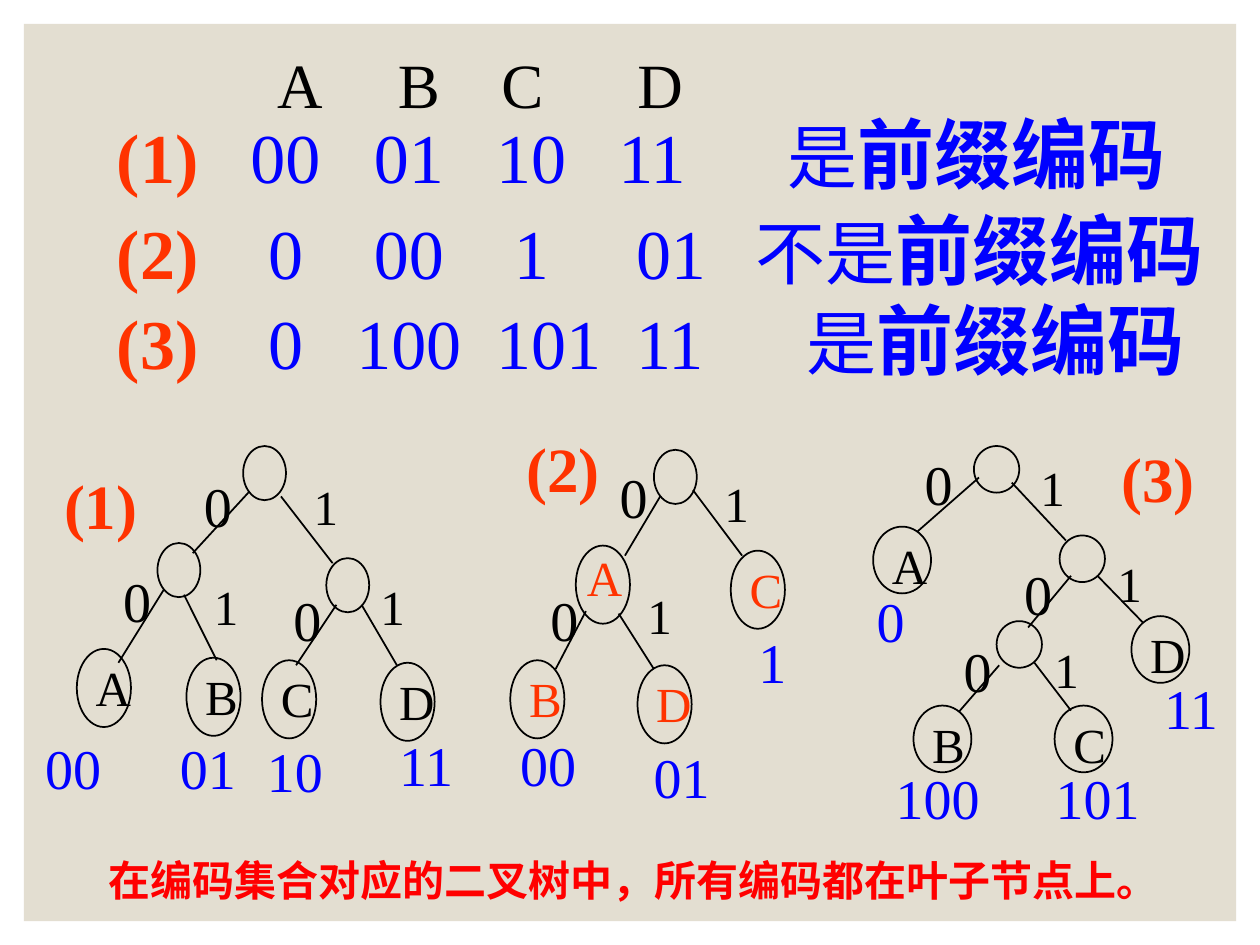
import pptx
import pptx.util
import pptx.dml.color
import pptx.enum.shapes
import pptx.enum.text
import pptx.oxml.ns
import lxml.etree

RGB = pptx.dml.color.RGBColor
BLACK = RGB(0, 0, 0)
BLUE = RGB(0, 0, 255)
ORANGE = RGB(0xFF, 0x33, 0)
RED = RGB(255, 0, 0)
SAND = RGB(0xE3, 0xDE, 0xD1)
SERIF, HAN = "Times New Roman", "Noto Sans CJK SC"
INCH = 2.54


def cm(value):
    """Turn a layout unit of 2.54 cm into a length."""
    return pptx.util.Cm(value * INCH)


def style(size, color, bold=False, name=SERIF):
    """Return font values and colour."""
    return {"size": pptx.util.Pt(size), "bold": bold, "name": name}, color


ZERO, ONE = style(32, BLACK), style(28, BLACK)
CODE, TAG = style(32, BLUE), style(36, ORANGE, True)
KEY, CELL, WORD = style(40, ORANGE, True), style(40, BLUE), style(44, BLUE, True)
HEAD, NOTE = style(36, BLACK), style(24, RED, True, HAN)
LEAF = {BLACK: style(28, BLACK), ORANGE: style(28, ORANGE)}


def child(node, tag, **attrs):
    """Append an XML child."""
    return lxml.etree.SubElement(node, pptx.oxml.ns.qn(tag), attrs)


def write(slide, box, runs, tabs=(), gap=50, wrap=True):
    """Add a text box of styled runs with tab stops."""
    frame = slide.shapes.add_textbox(*map(cm, box)).text_frame
    frame.word_wrap = wrap
    frame.auto_size = pptx.enum.text.MSO_AUTO_SIZE.SHAPE_TO_FIT_TEXT
    para = frame.paragraphs[0]
    props = para._p.get_or_add_pPr()
    child(child(props, "a:spcBef"), "a:spcPct", val=str(gap * 1000))
    if tabs:
        stops = child(props, "a:tabLst")
        for stop in tabs:
            child(stops, "a:tab", pos=str(int(cm(stop - box[0] - 0.1))), algn="l")
    for text, (values, color) in runs:
        run = para.add_run()
        run.text = text
        for key, value in values.items():
            setattr(run.font, key, value)
        run.font.color.rgb = color
        child(run._r.get_or_add_rPr(), "a:ea", typeface=HAN)


def shape(slide, kind, box, fill=None, line=None):
    """Add a flat preset shape."""
    item = slide.shapes.add_shape(kind, *map(cm, box))
    item.shadow.inherit = False
    if fill is None:
        item.fill.background()
    else:
        item.fill.solid()
        item.fill.fore_color.rgb = fill
    if line is None:
        item.line.fill.background()
    else:
        item.line.color.rgb = line
        item.line.width = pptx.util.Pt(1)


def edge(slide, ends):
    """Add one branch line."""
    line = slide.shapes.add_connector(
        pptx.enum.shapes.MSO_CONNECTOR.STRAIGHT, *map(cm, ends))
    line.line.color.rgb = BLACK
    line.line.width = pptx.util.Pt(1)
    child(line._element.spPr, "a:effectLst")


def tree(slide, x, y, data):
    """Draw a code tree from its corner."""
    oval = pptx.enum.shapes.MSO_SHAPE.OVAL
    for dx, dy in data["inner"]:
        shape(slide, oval, (x + dx, y + dy, *data["small"]), line=BLACK)
    for dx, dy, name in data["leaves"]:
        if name:
            write(slide, (x + dx + 0.05, y + dy + 0.02, 0.62, 0.57),
                  [(name, LEAF[data["ink"]])])
        shape(slide, oval, (x + dx, y + dy, *data["big"]), line=BLACK)
    for x1, y1, x2, y2 in data["edges"]:
        edge(slide, (x + x1, y + y1, x + x2, y + y2))
    for key, look, high in (("0", ZERO, 0.63), ("1", ONE, 0.57)):
        for dx, dy in data[key]:
            write(slide, (x + dx, y + dy, 0.53, high), [(key, look)])
    for dx, dy, text in data["codes"]:
        write(slide, (x + dx, y + dy, 0.3 + 0.23 * len(text), 0.63), [(text, CODE)])
    dx, dy, text = data["tag"]
    write(slide, (x + dx, y + dy, 1.02, 0.7), [(text, TAG)])


def codes(slide, x, y):
    """Write the table of codes from its corner."""
    write(slide, (x + 1.27, y, 4.05, 0.7), [("A\tB\tC\tD", HEAD)],
          (x + 2.33, x + 3.15, x + 4.23))
    for dy, key, cells, verdict, tabs in ROWS:
        text = "".join("\t" + cell for cell in cells.split()) + "\t" + verdict
        write(slide, (x, y + dy, 9.17, 0.83),
              [(key, KEY), (text, CELL), ("前缀编码", WORD)],
              [x + tab for tab in tabs])


ROWS = [
    (0.49, "(1)", "00 01 10 11", "是", (1.16, 2.14, 3.11, 4.08, 5.42)),
    (1.25, "(2)", "0 00 1 01", "不是", (1.3, 2.14, 3.25, 4.22, 5.17)),
    (1.96, "(3)", "0 100 101 11", "是", (1.3, 2, 3.11, 4.22, 5.57)),
]

TREES = [
    (0, 3.5, {
        "ink": BLACK, "small": (0.34, 0.43), "big": (0.43, 0.62),
        "inner": [(1.93, 0.04), (2.59, 0.93), (1.25, 0.81)],
        "leaves": [(0.61, 1.65, "A"), (1.48, 1.72, "B"),
                   (2.08, 1.74, "C"), (3.02, 1.76, "D")],
        "edges": [(1.98, 0.4, 1.53, 0.89), (2.23, 0.44, 2.64, 0.97),
                  (1.3, 1.18, 0.94, 1.76), (1.46, 1.22, 1.72, 1.74),
                  (2.67, 1.3, 2.35, 1.78), (2.87, 1.3, 3.15, 1.78)],
        "0": [(1.52, 0.19), (0.88, 0.95), (2.23, 1.1)],
        "1": [(2.39, 0.23), (2.92, 1.03), (1.6, 1.03)],
        "codes": [(0.26, 2.27, "00"), (1.33, 2.27, "01"),
                  (2.02, 2.3, "10"), (3.07, 2.25, "11")],
        "tag": (0.41, 0.15, "(1)")}),
    (4, 3.5, {
        "ink": ORANGE, "small": (0.34, 0.43), "big": (0.43, 0.62),
        "inner": [(1.19, 0.07)],
        "leaves": [(0.57, 0.83, ""), (0.05, 1.74, "B"),
                   (1.8, 0.87, "C"), (1.06, 1.78, "D")],
        "edges": [(1.24, 0.44, 0.96, 0.91), (0.65, 1.35, 0.41, 1.81),
                  (1.5, 0.39, 1.89, 0.91), (0.91, 1.37, 1.19, 1.81)],
        "0": [(0.82, 0.12), (0.27, 1.1)],
        "1": [(1.65, 0.21), (1.04, 1.1)],
        "codes": [(0.03, 2.25, "00"), (1.09, 2.34, "01"), (1.92, 1.43, "1")],
        "tag": (0.08, -0.14, "(2)")}),
    (7, 3.5, {
        "ink": BLACK, "small": (0.36, 0.37), "big": (0.46, 0.53),
        "inner": [(0.73, 0.04), (1.41, 0.75), (0.91, 1.43)],
        "leaves": [(-0.07, 0.68, "A"), (0.25, 2.1, "B"),
                   (1.37, 2.1, "C"), (1.98, 1.39, "D")],
        "edges": [(0.77, 0.29, 0.28, 0.72), (1.03, 0.33, 1.46, 0.79),
                  (1.5, 1.07, 1.16, 1.48), (1.71, 1.07, 2.07, 1.44),
                  (0.93, 1.78, 0.61, 2.15), (1.21, 1.76, 1.5, 2.14)],
        "0": [(0.24, 0.02), (1.03, 0.89), (0.55, 1.5)],
        "1": [(1.16, 0.08), (1.77, 0.84), (1.27, 1.53)],
        "codes": [(-0.14, 1.11, "0"), (2.14, 1.8, "11"),
                  (0.01, 2.51, "100"), (1.28, 2.51, "101")],
        "tag": (1.8, -0.06, "(3)")}),
]


def main():
    """Build the slide and save it."""
    deck = pptx.Presentation()
    deck.slide_width, deck.slide_height = cm(10), cm(7.5)
    slide = deck.slides.add_slide(deck.slide_layouts[6])
    shape(slide, pptx.enum.shapes.MSO_SHAPE.RECTANGLE,
          (0.19, 0.19, 9.62, 7.12), fill=SAND)
    codes(slide, 0.83, 0.31)
    for x, y, data in TREES:
        tree(slide, x, y, data)
    write(slide, (4.56, 4.3, 0.71, 0.57), [("A", LEAF[ORANGE])])
    write(slide, (0.76, 6.73, 8.62, 0.5),
          [("在编码集合对应的二叉树中，所有编码都在叶子节点上。", NOTE)],
          gap=30, wrap=False)
    deck.save("out.pptx")


main()
